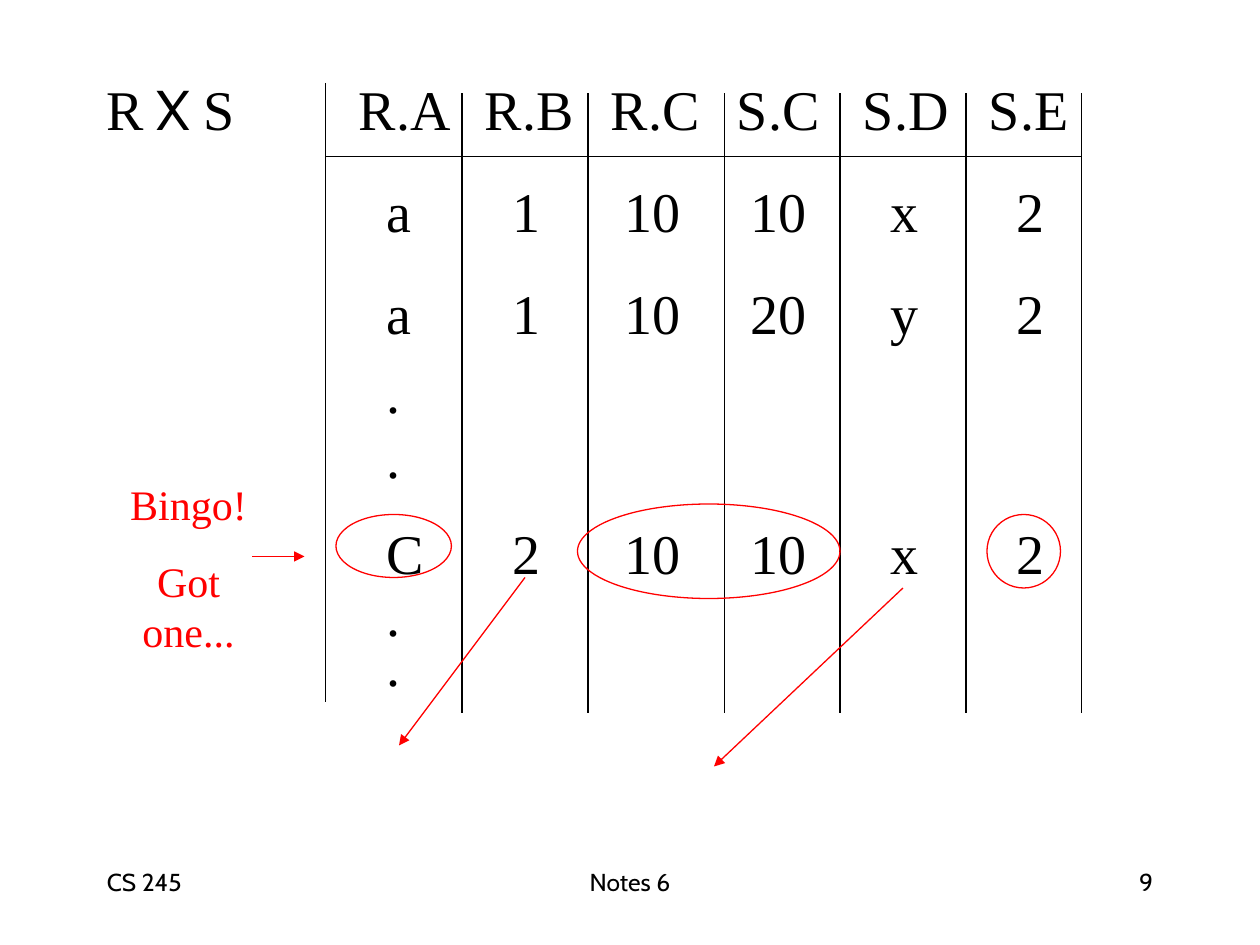
from dataclasses import dataclass

from pptx import Presentation
from pptx import util as u
from pptx.dml.color import RGBColor
from pptx.enum import shapes, text
from pptx.oxml.ns import qn
from lxml import etree


@dataclass
class Theme:
    ink: RGBColor = RGBColor(0, 0, 0)
    accent: RGBColor = RGBColor(255, 0, 0)
    serif: str = "Times New Roman"
    sans: str = "Cabin"
    body: int = 32
    note: int = 24
    footer: int = 14
    line: float = 0.75


class Deck:
    """Theme plus current slide; lengths are cells of a 120 x 90 grid."""

    def __init__(self, theme):
        self.t = theme
        self.prs = Presentation()
        self.prs.slide_width, self.prs.slide_height = u.Inches(10), u.Inches(7.5)
        self.s = self.prs.slides.add_slide(self.prs.slide_layouts[6])

    def grid(self, *cells):
        return [int(c * self.prs.slide_width / 120) for c in cells]

    def font(self, font, name, size, color):
        font.name, font.size = name, u.Pt(size)
        font.color.rgb = color

    def tabs(self, p, stops):
        tabs = etree.SubElement(p._p.get_or_add_pPr(), qn("a:tabLst"))
        for stop in stops:
            etree.SubElement(tabs, qn("a:tab"), pos=str(u.Inches(stop)), algn="l")

    def tabbed(self, box, rows):
        """Tabbed rows: (runs of (text, font), tab stops, line spacing)."""
        tf = self.s.shapes.add_textbox(*self.grid(*box)).text_frame
        tf.word_wrap = True
        for i, (runs, stops, spacing) in enumerate(rows):
            p = tf.add_paragraph() if i else tf.paragraphs[0]
            self.tabs(p, stops)
            p.space_before = u.Pt(20 if i else 0)
            p.line_spacing = spacing
            self.font(p.font, self.t.serif, self.t.body, self.t.ink)
            for content, name in runs:
                r = p.add_run()
                r.text = content
                if name != self.t.serif:
                    r.font.name = name

    def label(self, box, lines, name, size, color, align, grow=False):
        tf = self.s.shapes.add_textbox(*self.grid(*box)).text_frame
        tf.word_wrap = not grow
        if grow:
            tf.auto_size = text.MSO_AUTO_SIZE.SHAPE_TO_FIT_TEXT
            tf.vertical_anchor = text.MSO_ANCHOR.MIDDLE
        for i, line in enumerate(lines):
            p = tf.add_paragraph() if i else tf.paragraphs[0]
            p.text, p.alignment = line, align
            p.space_before = u.Pt(15 if i else 0)
            self.font(p.font, name, size, color)

    def line(self, ends, color, arrow=False):
        c = self.s.shapes.add_connector(shapes.MSO_CONNECTOR.STRAIGHT, *self.grid(*ends))
        c.line.color.rgb, c.line.width = color, u.Pt(self.t.line)
        if arrow:
            etree.SubElement(c.line._get_or_add_ln(), qn("a:tailEnd"), type="triangle")
        etree.SubElement(c._element.spPr, qn("a:effectLst"))

    def ring(self, box):
        sp = self.s.shapes.add_shape(shapes.MSO_SHAPE.OVAL, *self.grid(*box))
        sp.shadow.inherit = False
        sp.fill.background()
        sp.line.color.rgb, sp.line.width = self.t.accent, u.Pt(self.t.line)


def main():
    t = Theme()
    d = Deck(t)

    # Footer
    al = text.PP_ALIGN
    for left, width, words, align in [(9, 25, "CS 245", al.LEFT),
                                      (41, 38, "Notes 6", al.CENTER),
                                      (86, 25, "9", al.RIGHT)]:
        d.label((left, 82, width, 6), [words], t.sans, t.footer, t.ink, align)

    # Cross product: headings every inch, values indented below them
    heads = [2, 3, 4, 5, 6, 7]
    stops = [h + (0.11 if h in (4, 5) else 0.22) for h in heads]
    rows = [([("R", t.serif), (" X ", t.sans),
              ("S\tR.A\tR.B\tR.C\tS.C\tS.D\tS.E", t.serif)], heads, 1.0)]
    for values, spacing in [("a 1 10 10 x 2", 1.0), ("a 1 10 20 y 2", 1.0),
                            (".", 0.6), (".", 0.4), ("C 2 10 10 x 2", 1.0),
                            (".", 0.3), (".", 0.2)]:
        cells = "".join("\t" + v for v in values.split())
        rows.append(([(cells, t.serif)], stops, spacing))
    d.tabbed((9, 6.5, 98, 59.8), rows)

    # Table rules
    d.line((31, 14.9, 103, 14.9), t.ink)
    for x in (31, 44, 56, 69, 80, 92, 103):
        top = 7.9 if x == 31 else 8.9
        d.line((x, top, x, top + 59), t.ink)

    # Matching row: rings, arrows and remark
    for box in [(94, 49, 7, 7), (55, 48, 25, 9), (32, 49, 11, 6)]:
        d.ring(box)
    for ends in [(50, 55, 38, 71), (86, 56, 68, 73), (24, 53, 29, 53)]:
        d.line(ends, t.accent, arrow=True)
    d.label((8.9, 47.4, 18.1, 13.3), ["Bingo!", "Got one..."], t.serif, t.note,
            t.accent, al.CENTER, grow=True)

    d.prs.save("out.pptx")


if __name__ == "__main__":
    main()
